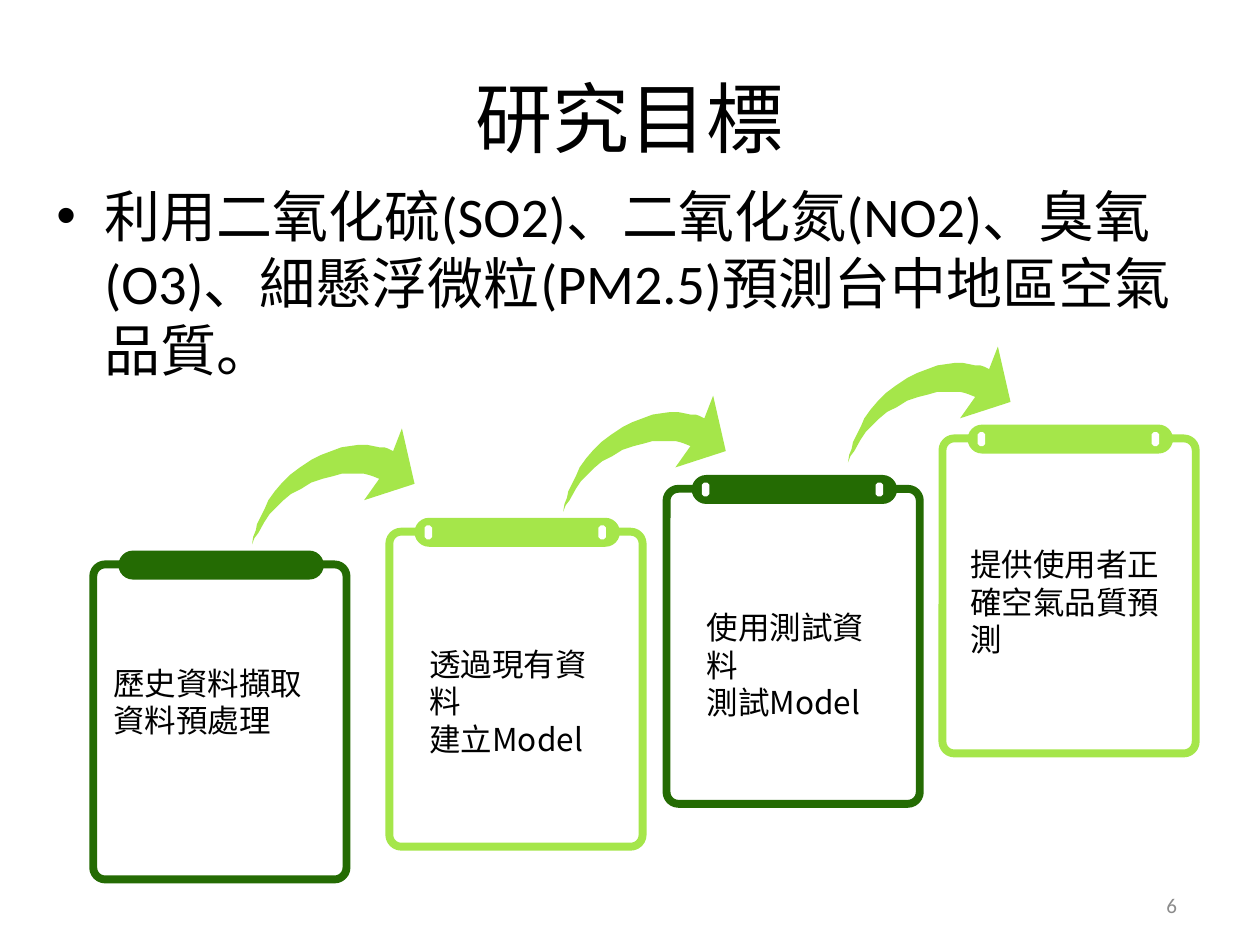
from lxml import etree
from pptx import Presentation
from pptx import util as u
from pptx.dml import color
from pptx.enum import shapes, text
from pptx.oxml import ns

PX = 9144
HUES = {"dark": "246B03", "lime": "A5E64A", "white": "FFFFFF", "black": "000000", "gray": "8C8C8C"}
SANS, CJK = "Calibri", "Noto Sans CJK SC"
KIND = shapes.MSO_SHAPE
ALIGN = text.PP_ALIGN
MID = text.MSO_ANCHOR.MIDDLE

SWOOP = [
    (0, 92), (2, 87), (5, 83), (10, 74), (14, 68), (19, 63), (25, 57), (31, 52),
    (39, 48), (47, 43), (56, 40), (64, 38), (71, 36), (78, 36), (84, 36), (89, 36),
    (93, 37), (96, 38), (101, 40), (89, 57), (129, 44), (119, 0), (112, 18),
    (108, 16), (105, 15), (101, 15), (96, 14), (91, 13), (85, 13), (78, 14),
    (71, 15), (63, 18), (55, 21), (47, 25), (38, 31), (30, 37), (24, 43), (18, 50),
    (13, 57), (10, 64), (7, 70), (4, 76), (3, 81), (1, 86),
]

CARDS = [
    (74, 448, "dark", False),
    (309, 422, "lime", True),
    (529, 388, "dark", True),
    (748, 348, "lime", True),
]
ARROWS = [(200, 340), (447, 314), (673, 275)]
LABELS = [
    ((80, 522, 184, 61), ["歷史資料擷取", "資料預處理"]),
    ((331, 507, 169, 61), ["透過現有資料", "建立Model"]),
    ((551, 478, 163, 61), ["使用測試資料", "測試Model"]),
    ((760, 428, 188, 101), ["提供使用者正確空氣品質預測"]),
]


class Deck:
    def __init__(self, wide, high):
        self.prs = Presentation()
        self.prs.slide_width, self.prs.slide_height = wide * PX, high * PX
        self.slide = self.prs.slides.add_slide(self.prs.slide_layouts[6])

    def hue(self, name):
        return color.RGBColor.from_string(HUES[name])

    def paint(self, item, fill=None, line=None):
        item.shadow.inherit = False
        if fill:
            item.fill.solid()
            item.fill.fore_color.rgb = self.hue(fill)
        else:
            item.fill.background()
        if line:
            item.line.color.rgb = self.hue(line)
            item.line.width = u.Pt(4.5)
        else:
            item.line.fill.background()

    def shape(self, kind, box, adj, **look):
        item = self.slide.shapes.add_shape(kind, *(n * PX for n in box))
        item.adjustments[0] = adj
        self.paint(item, **look)

    def swoop(self, x, y):
        pts = [(x + dx, y + dy) for dx, dy in SWOOP]
        pen = self.slide.shapes.build_freeform(*pts[0], scale=PX)
        pen.add_line_segments(pts[1:], close=True)
        self.paint(pen.convert_to_shape(), fill="lime")

    def card(self, x, y, tone, holes):
        self.shape(KIND.ROUNDED_RECTANGLE, (x, y, 201, 250), 0.047, line=tone)
        self.shape(KIND.ROUNDED_RECTANGLE, (x + 20, y - 11, 163, 23), 0.5, fill=tone)
        if holes:
            for dx in (28, 166):
                self.shape(KIND.OCTAGON, (x + dx, y - 5, 6, 11), 0.293, fill="white")

    def words(self, box, lines, size, face=SANS, tone="black", para=None, frame=None):
        body = self.slide.shapes.add_textbox(*(n * PX for n in box)).text_frame
        for key, val in {"word_wrap": True, **(frame or {})}.items():
            setattr(body, key, val)
        for i, line in enumerate(lines):
            p = body.add_paragraph() if i else body.paragraphs[0]
            for key, val in (para or {}).items():
                setattr(p, key, val)
            run = p.add_run()
            run.text = line
            for key, val in {"size": u.Pt(size), "name": face}.items():
                setattr(run.font, key, val)
            run.font.color.rgb = self.hue(tone)
            if face == CJK:
                east = etree.SubElement(run.font._element, ns.qn("a:ea"))
                east.set("typeface", face)
        return body

    def bullet(self, box, line, size):
        body = self.words(box, [line], size)
        props = body.paragraphs[0]._p.get_or_add_pPr()
        props.set("marL", str(38 * PX))
        props.set("indent", str(-38 * PX))
        etree.SubElement(props, ns.qn("a:buFont")).set("typeface", "Arial")
        etree.SubElement(props, ns.qn("a:buChar")).set("char", "•")


def main():
    deck = Deck(1000, 750)
    mid = {"para": {"alignment": ALIGN.CENTER}, "frame": {"vertical_anchor": MID}}
    deck.words((50, 30, 900, 125), ["研究目標"], 44, **mid)
    deck.bullet(
        (35, 139, 907, 421),
        "利用二氧化硫(SO2)、二氧化氮(NO2)、臭氧(O3)、細懸浮微粒(PM2.5)預測台中地區空氣品質。",
        32,
    )
    deck.words((901, 698, 58, 40), ["6"], 12, tone="gray", **mid)
    for spot in ARROWS:
        deck.swoop(*spot)
    for card in CARDS:
        deck.card(*card)
    for box, lines in LABELS:
        deck.words(box, lines, 18, face=CJK, para={"line_spacing": u.Pt(21.4)})
    deck.prs.save("out.pptx")


if __name__ == "__main__":
    main()
